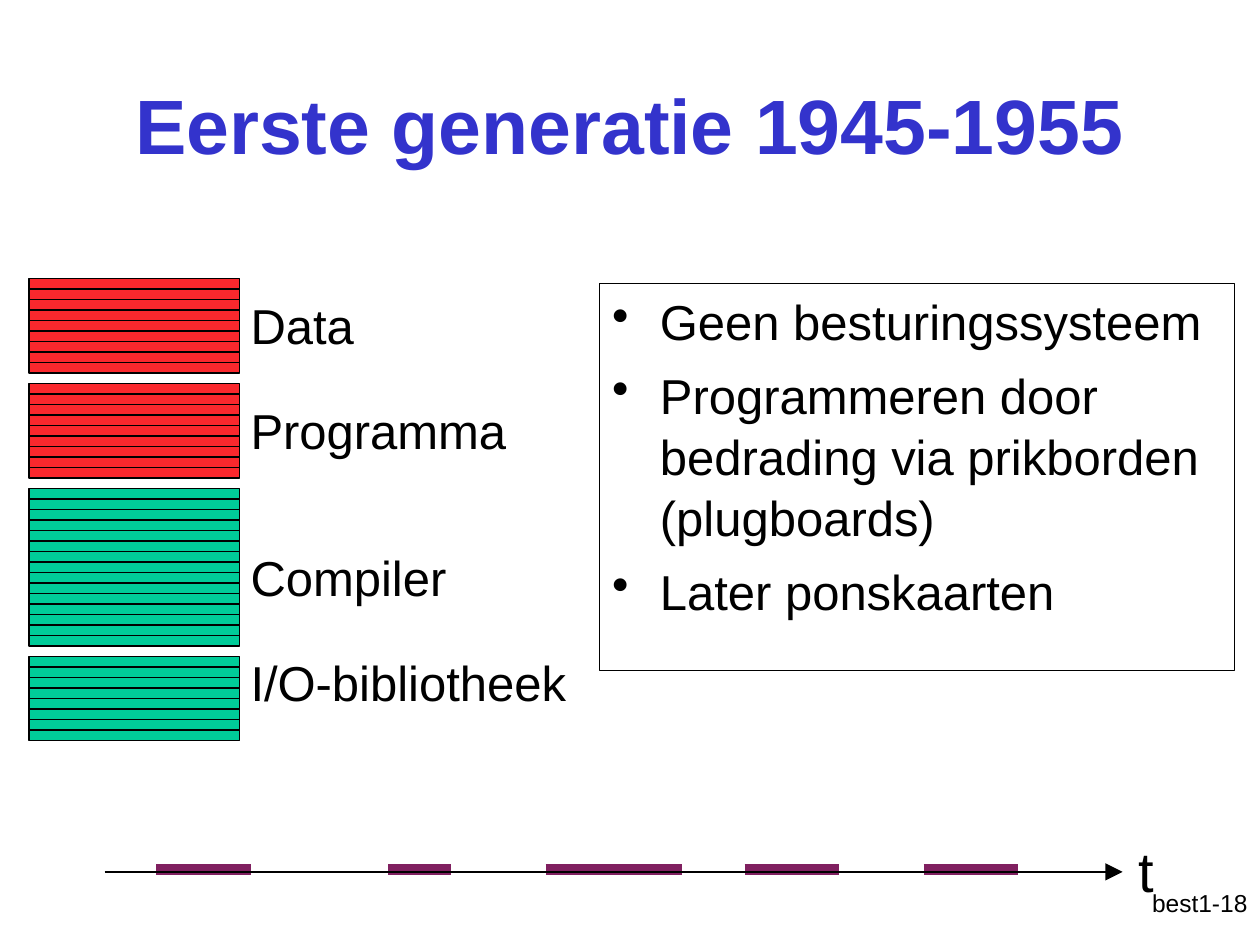
import pptx
import pptx.util
import pptx.dml.color
import pptx.enum.shapes
import pptx.enum.text
import pptx.oxml
from dataclasses import dataclass
from pptx.util import Inches


@dataclass(frozen=True)
class Theme:
    font: str = "Arial"
    title: str = "3333CC"
    ink: str = "000000"
    user: str = "FA282D"
    system: str = "00CC99"
    busy: str = "802060"
    title_size: int = 44
    axis_size: int = 32
    body_size: int = 28
    footer_size: int = 14
    thin: float = 0.75
    thick: float = 6


theme = Theme()
color = pptx.dml.color.RGBColor.from_string
align = pptx.enum.text.PP_ALIGN
anchors = pptx.enum.text.MSO_ANCHOR
NS = 'xmlns:a="http://schemas.openxmlformats.org/drawingml/2006/main"'


def write(frame, *lines, size=theme.body_size, ink=theme.ink, bold=False,
          alignment=align.LEFT, anchor=anchors.TOP, bullet=False):
    frame.word_wrap = True
    frame.vertical_anchor = anchor
    for index, text in enumerate(lines):
        para = frame.paragraphs[0] if index == 0 else frame.add_paragraph()
        para.alignment = alignment
        if bullet:
            properties = para._p.get_or_add_pPr()
            properties.set("marL", str(Inches(0.38)))
            properties.set("indent", str(-Inches(0.38)))
            para.line_spacing = 1.04
            if index:
                para.space_before = pptx.util.Pt(7)
            properties.append(pptx.oxml.parse_xml(f'<a:buChar {NS} char="•"/>'))
        span = para.add_run()
        span.text = text
        span.font.name = theme.font
        span.font.size = pptx.util.Pt(size)
        span.font.bold = bold
        span.font.color.rgb = color(ink)


def rule(shapes, left, right, y, ink=theme.ink, width=theme.thin):
    line = shapes.add_connector(
        pptx.enum.shapes.MSO_CONNECTOR.STRAIGHT,
        Inches(left), Inches(y), Inches(right), Inches(y))
    line.line.color.rgb = color(ink)
    line.line.width = pptx.util.Pt(width)
    line._element.spPr.append(pptx.oxml.parse_xml(f"<a:effectLst {NS}/>"))
    return line


deck = pptx.Presentation()
deck.slide_width, deck.slide_height = Inches(10), Inches(7.5)
page = deck.slides.add_slide(deck.slide_layouts[5])
rectangle = pptx.enum.shapes.MSO_SHAPE.RECTANGLE

# Page number
footer = page.shapes.add_textbox(Inches(7.92), Inches(7), Inches(2.08), Inches(0.5))
write(footer.text_frame, "best1-18", size=theme.footer_size, alignment=align.RIGHT)

# Title
title = page.shapes.title
title.left, title.top = Inches(0.75), Inches(0.36)
title.width, title.height = Inches(8.5), Inches(1.25)
write(title.text_frame, "Eerste generatie 1945-1955", size=theme.title_size,
      ink=theme.title, bold=True, alignment=align.CENTER, anchor=anchors.MIDDLE)

# Framed bullet list
box = page.shapes.add_shape(rectangle, Inches(4.76), Inches(2.25), Inches(5.04), Inches(3.07))
box.shadow.inherit = False
box.fill.background()
box.line.color.rgb = color(theme.ink)
box.line.width = pptx.util.Pt(theme.thin)
write(box.text_frame, "Geen besturingssysteem",
      "Programmeren door bedrading via prikborden (plugboards)",
      "Later ponskaarten", bullet=True)

# Card stacks: label, rows, colour, label offset in rows
stacks = [
    ("Data", 9, theme.user, 1),
    ("Programma", 9, theme.user, 1),
    ("Compiler", 15, theme.system, 5),
    ("I/O-bibliotheek", 8, theme.system, -1),
]
pitch = 1 / 12
left, width, top = 0.23, 1.67, 2.21
for label, rows, fill, offset in stacks:
    stack = page.shapes.add_shape(rectangle, Inches(left), Inches(top),
                                  Inches(width), Inches(rows * pitch))
    stack.shadow.inherit = False
    stack.fill.solid()
    stack.fill.fore_color.rgb = color(fill)
    stack.line.color.rgb = color(theme.ink)
    stack.line.width = pptx.util.Pt(theme.thin)
    for row in range(1, rows):
        edge = rule(page.shapes, left, left + width, top + row * pitch)
        if row * 2 == rows:
            edge.begin_connect(stack, 1)
            edge.end_connect(stack, 3)
    caption = page.shapes.add_textbox(Inches(1.89), Inches(top + offset * pitch),
                                      Inches(3.67), Inches(0.57))
    write(caption.text_frame, label)
    top += (rows + 1) * pitch

# Timeline with busy periods
timeline = page.shapes.add_group_shape()
for start, end in [(1.24, 1.99), (3.08, 3.58), (4.33, 5.41), (5.91, 6.66), (7.33, 8.08)]:
    rule(timeline.shapes, start, end, 6.9, ink=theme.busy, width=theme.thick)
axis = rule(timeline.shapes, 0.83, 8.91, 6.92)
axis.line._get_or_add_ln().append(
    pptx.oxml.parse_xml(f'<a:tailEnd {NS} type="triangle" w="lg" len="lg"/>'))
axis_label = page.shapes.add_textbox(Inches(8.94), Inches(6.59), Inches(0.79), Inches(0.64))
write(axis_label.text_frame, "t", size=theme.axis_size)

deck.save("out.pptx")
